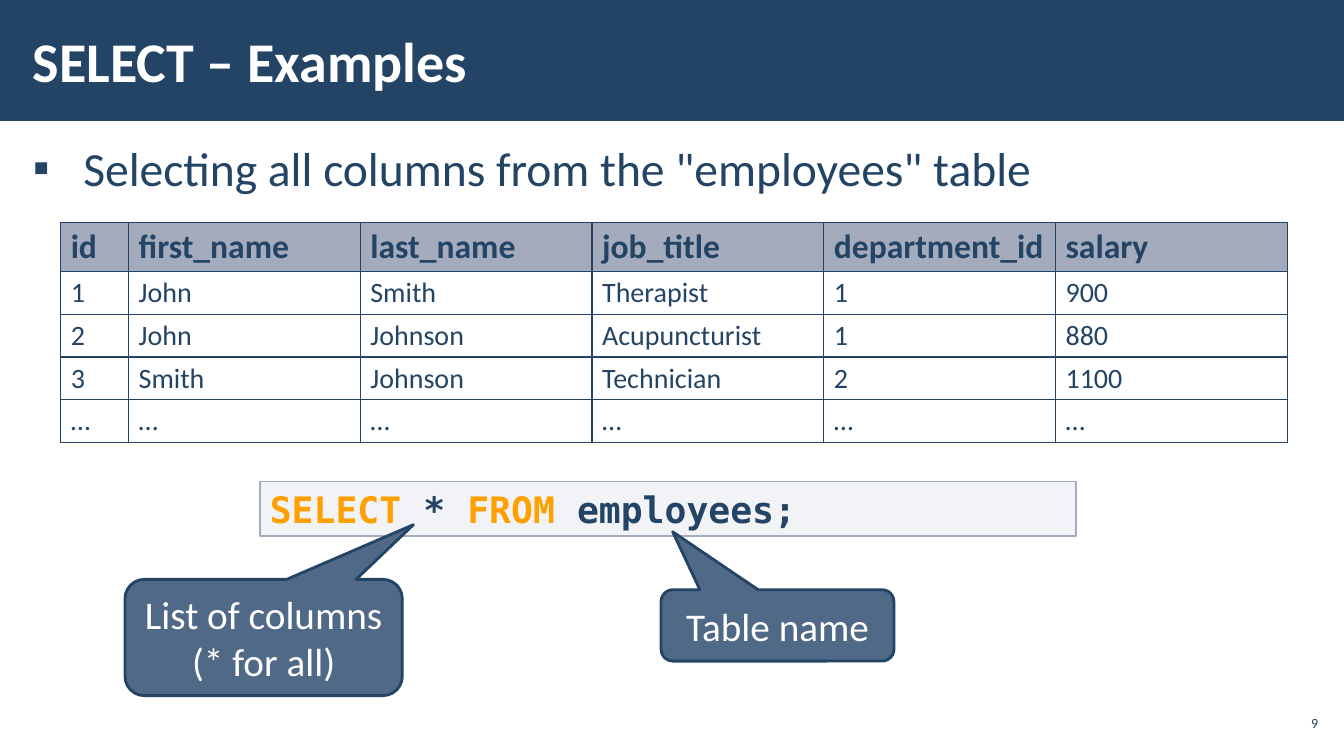
import pptx
import pptx.util
import pptx.dml.color
import pptx.enum.shapes
import pptx.enum.text
import pptx.oxml
import pptx.oxml.ns

Cm = pptx.util.Cm
Pt = pptx.util.Pt
RGB = pptx.dml.color.RGBColor.from_string
MSO_SHAPE = pptx.enum.shapes.MSO_SHAPE
ANCHOR = pptx.enum.text.MSO_ANCHOR
ALIGN = pptx.enum.text.PP_ALIGN
NAMESPACE = pptx.oxml.ns.nsdecls("a")
COLORS = {
    "navy": "234465",
    "white": "FFFFFF",
    "keyword": "FFA000",
    "code_fill": "C2C7D2",
    "grey": "A3ABBC",
    "callout": "4F6987",
}


def add_run(paragraph, text, size, color, bold=False, font="Calibri"):
    run = paragraph.add_run()
    run.text = text
    run.font.name = font
    run.font.size = Pt(size)
    run.font.bold = bold
    run.font.color.rgb = RGB(COLORS[color])


def fill_solid(fill, color, alpha=100):
    fill.solid()
    fill.fore_color.rgb = RGB(COLORS[color])
    if alpha < 100:
        color_element = fill._xPr.find(".//" + pptx.oxml.ns.qn("a:srgbClr"))
        color_element.append(pptx.oxml.parse_xml(f'<a:alpha {NAMESPACE} val="{alpha * 1000}"/>'))


presentation = pptx.Presentation()
presentation.slide_width = Cm(33.87)
presentation.slide_height = Cm(19.05)
slide = presentation.slides.add_slide(presentation.slide_layouts[1])
shapes = slide.shapes
title = shapes.title
body = slide.placeholders[1]

banner = shapes.add_shape(MSO_SHAPE.RECTANGLE, 0, 0, presentation.slide_width, Cm(3.05))
banner.shadow.inherit = False
fill_solid(banner.fill, "navy")
banner.line.fill.background()
title.element.addprevious(banner.element)

for placeholder, box, anchor in [
    (title, (0.53, 0.28, 26.4, 2.46), ANCHOR.MIDDLE),
    (body, (0.53, 3.33, 32.82, 14.45), ANCHOR.TOP),
]:
    placeholder.left, placeholder.top, placeholder.width, placeholder.height = map(Cm, box)
    frame = placeholder.text_frame
    frame.auto_size = pptx.enum.text.MSO_AUTO_SIZE.NONE
    frame.vertical_anchor = anchor
    frame.margin_left = frame.margin_right = Cm(0.3)
    frame.margin_top = frame.margin_bottom = Cm(0.1)
    frame.paragraphs[0].alignment = ALIGN.LEFT

add_run(title.text_frame.paragraphs[0], "SELECT – Examples", 40, "white", bold=True)

paragraph = body.text_frame.paragraphs[0]
paragraph.line_spacing = 1.05
paragraph.space_before = paragraph.space_after = Pt(6)
add_run(paragraph, 'Selecting all columns from the "employees" table', 34, "navy")
properties = paragraph._p.get_or_add_pPr()
properties.set("marL", str(Cm(1.27)))
properties.set("indent", str(Cm(-1.27)))
properties.append(pptx.oxml.parse_xml(f'<a:buChar {NAMESPACE} char="▪"/>'))

rows = [
    ["id", "first_name", "last_name", "job_title", "department_id", "salary"],
    ["1", "John", "Smith", "Therapist", "1", "900"],
    ["2", "John", "Johnson", "Acupuncturist", "1", "880"],
    ["3", "Smith", "Johnson", "Technician", "2", "1100"],
    ["…"] * 6,
]
table = shapes.add_table(len(rows), 6, Cm(1.53), Cm(5.61), Cm(30.91), Cm(5.47)).table
table.first_row = False
table.horz_banding = False
for index, column in enumerate(table.columns):
    column.width = Cm(5.84 if index else 1.71)
for row_index, values in enumerate(rows):
    header = row_index == 0
    table.rows[row_index].height = Cm(1.23 if header else 1.06)
    for column_index, value in enumerate(values):
        cell = table.cell(row_index, column_index)
        for side in ("lnL", "lnR", "lnT", "lnB"):
            cell._tc.get_or_add_tcPr().append(pptx.oxml.parse_xml(
                f'<a:{side} {NAMESPACE} w="12700"><a:solidFill>'
                f'<a:srgbClr val="{COLORS["navy"]}"/></a:solidFill></a:{side}>'))
        if header:
            fill_solid(cell.fill, "grey", alpha=50)
        else:
            cell.fill.background()
        paragraph = cell.text_frame.paragraphs[0]
        paragraph.line_spacing = 0.95
        add_run(paragraph, value, 24 if header else 20, "navy", bold=header)

code_box = shapes.add_shape(MSO_SHAPE.RECTANGLE, Cm(6.55), Cm(12.14), Cm(20.57), Cm(1.37))
code_box.shadow.inherit = False
fill_solid(code_box.fill, "code_fill", alpha=20)
code_box.line.color.rgb = RGB(COLORS["grey"])
code_box.line.width = Pt(1)
code_box.text_frame.vertical_anchor = ANCHOR.TOP
paragraph = code_box.text_frame.paragraphs[0]
paragraph.alignment = ALIGN.LEFT
for text, color in [("SELECT ", "keyword"), ("* ", "navy"), ("FROM ", "keyword"), ("employees;", "navy")]:
    add_run(paragraph, text, 26, color, bold=True, font="DejaVu Sans Mono")

for box, pointer, lines in [
    ((3.15, 14.6, 6.99, 2.93), (0.54, -0.97), ["List of columns", "(* for all)"]),
    ((16.66, 14.86, 5.87, 1.8), (-0.45, -1.31), ["Table name"]),
]:
    callout = shapes.add_shape(MSO_SHAPE.ROUNDED_RECTANGULAR_CALLOUT, *map(Cm, box))
    callout.adjustments[0], callout.adjustments[1] = pointer
    callout.shadow.inherit = False
    fill_solid(callout.fill, "callout")
    callout.line.color.rgb = RGB(COLORS["navy"])
    callout.line.width = Pt(2)
    frame = callout.text_frame
    frame.vertical_anchor = ANCHOR.MIDDLE
    for index, line in enumerate(lines):
        paragraph = frame.add_paragraph() if index else frame.paragraphs[0]
        paragraph.alignment = ALIGN.CENTER
        add_run(paragraph, line, 28, "white")

page_number = shapes.add_textbox(Cm(32.13), Cm(17.78), Cm(1.19), Cm(0.86))
frame = page_number.text_frame
frame.word_wrap = True
frame.vertical_anchor = ANCHOR.MIDDLE
frame.margin_left = frame.margin_right = frame.margin_top = frame.margin_bottom = Cm(0.1)
frame.paragraphs[0].alignment = ALIGN.RIGHT
add_run(frame.paragraphs[0], "9", 10, "navy")

presentation.save("out.pptx")
